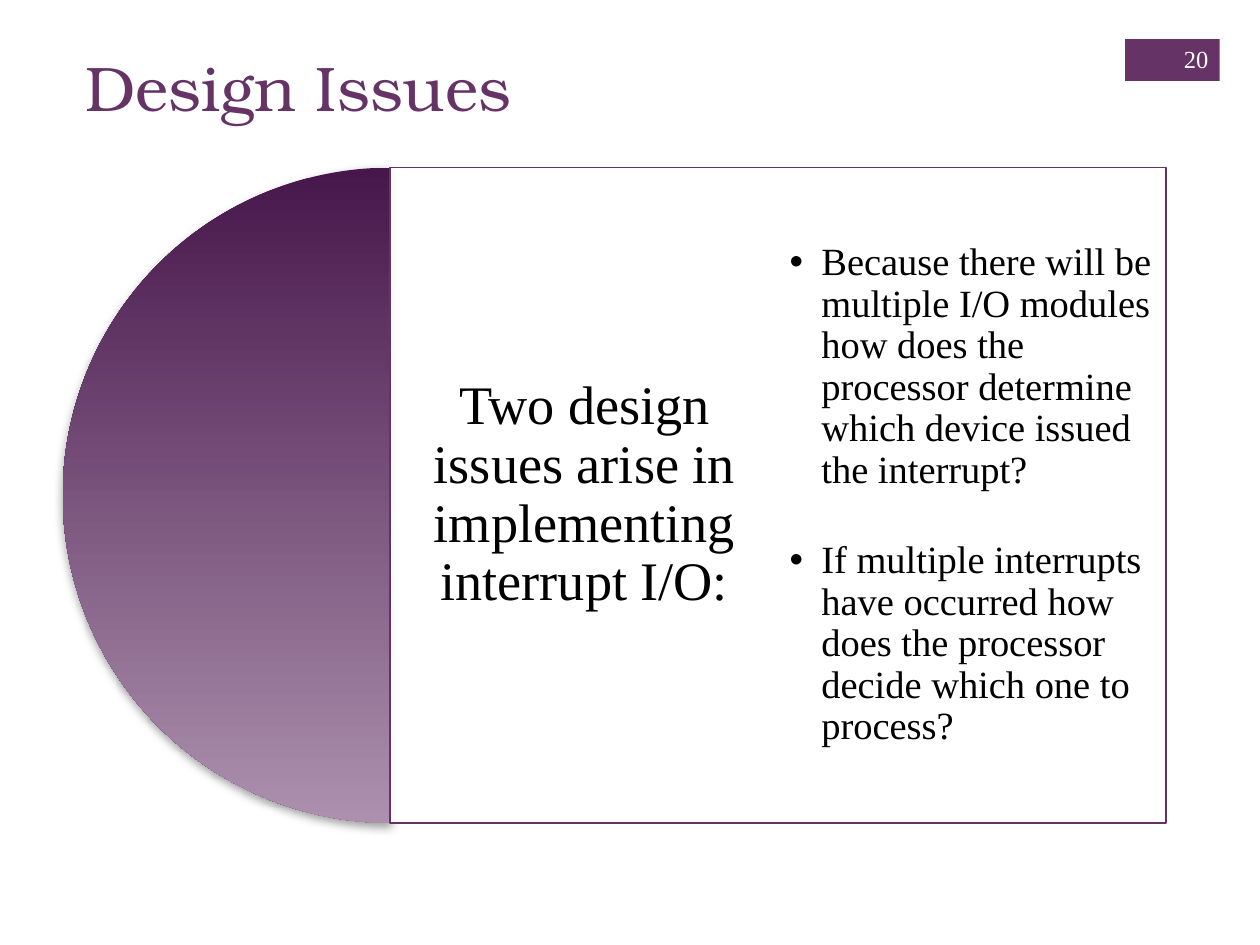
from lxml import etree
from pptx import Presentation
from pptx.dml.color import RGBColor
from pptx.enum import shapes, text
from pptx.oxml import parse_xml
from pptx.oxml.ns import nsdecls, qn
from pptx.util import Cm, Pt

PLUM = RGBColor(0x66, 0x33, 0x66)
OUTLINE = RGBColor(0x64, 0x33, 0x66)
DARK_PLUM = RGBColor(0x47, 0x17, 0x4B)
LIGHT_PLUM = RGBColor(0xAC, 0x90, 0xAE)
BLACK = RGBColor(0, 0, 0)
WHITE = RGBColor(0xFF, 0xFF, 0xFF)
BODY_FONT = "Times New Roman"
TITLE_FONT = "TeX Gyre Bonum"

PANEL_TOP = Cm(3.38)
PANEL_HEIGHT = Cm(13.21)
PANEL_LEFT = Cm(7.87)
COLUMN_WIDTH = Cm(7.82)
QUESTIONS = [
    "Because there will be multiple I/O modules how does the processor "
    "determine which device issued the interrupt?",
    "If multiple interrupts have occurred how does the processor decide "
    "which one to process?",
]


def add_run(paragraph, wording, size, color, font=BODY_FONT):
    run = paragraph.add_run()
    run.text = wording
    run.font.name = font
    run.font.size = Pt(size)
    run.font.color.rgb = color


def format_frame(frame, anchor, side, vertical):
    frame.word_wrap = True
    frame.auto_size = text.MSO_AUTO_SIZE.NONE
    frame.vertical_anchor = anchor
    frame.margin_left = frame.margin_right = side
    frame.margin_top = frame.margin_bottom = vertical


def add_text_box(slide, left, top, width, height, side, vertical):
    frame = slide.shapes.add_textbox(left, top, width, height).text_frame
    format_frame(frame, text.MSO_ANCHOR.MIDDLE, side, vertical)
    return frame


def add_bullet(paragraph):
    properties = paragraph._p.get_or_add_pPr()
    properties.set("marL", str(Cm(0.64)))
    properties.set("indent", str(-Cm(0.64)))
    color = etree.SubElement(properties, qn("a:buClr"))
    etree.SubElement(color, qn("a:srgbClr"), val=str(BLACK))
    etree.SubElement(properties, qn("a:buFont"), typeface="Arial")
    etree.SubElement(properties, qn("a:buChar"), char="•")


def add_title(slide):
    title = slide.shapes.title
    title.left, title.top = Cm(1.47), Cm(0.84)
    title.width, title.height = Cm(20.98), Cm(3.1)
    format_frame(title.text_frame, text.MSO_ANCHOR.TOP, Cm(0.25), Cm(0.13))
    paragraph = title.text_frame.paragraphs[0]
    paragraph.alignment = text.PP_ALIGN.LEFT
    add_run(paragraph, "Design Issues", 36, PLUM, TITLE_FONT)


def add_page_number(slide):
    badge = slide.shapes.add_shape(
        shapes.MSO_SHAPE.RECTANGLE, Cm(22.68), Cm(0.79), Cm(1.91), Cm(0.84))
    badge.shadow.inherit = False
    badge.fill.solid()
    badge.fill.fore_color.rgb = PLUM
    badge.line.fill.background()
    frame = add_text_box(
        slide, Cm(23.06), Cm(0.68), Cm(1.55), Cm(1.02), Cm(0.25), Cm(0.13))
    paragraph = frame.paragraphs[0]
    paragraph.alignment = text.PP_ALIGN.RIGHT
    add_run(paragraph, "20", 14, WHITE)


def add_half_disc(slide):
    disc = slide.shapes.add_shape(
        shapes.MSO_SHAPE.PIE, PANEL_LEFT - PANEL_HEIGHT // 2, PANEL_TOP,
        PANEL_HEIGHT, PANEL_HEIGHT)
    disc.adjustments[0] = 54
    disc.adjustments[1] = 162
    disc.line.fill.background()
    disc.fill.gradient()
    disc.fill.gradient_angle = 270
    for stop, position, color in zip(
            disc.fill.gradient_stops, (0, 1), (DARK_PLUM, LIGHT_PLUM)):
        stop.position = position
        stop.color.rgb = color
    disc._element.spPr.append(parse_xml(
        f'<a:effectLst {nsdecls("a")}>'
        f'<a:outerShdw blurRad="{Pt(5)}" dist="{Pt(2)}" dir="5400000" '
        'rotWithShape="0"><a:srgbClr val="808080"><a:alpha val="75000"/>'
        '</a:srgbClr></a:outerShdw></a:effectLst>'))


def add_panel(slide):
    panel = slide.shapes.add_shape(
        shapes.MSO_SHAPE.RECTANGLE, PANEL_LEFT, PANEL_TOP,
        2 * COLUMN_WIDTH, PANEL_HEIGHT)
    panel.shadow.inherit = False
    panel.fill.solid()
    panel.fill.fore_color.rgb = WHITE
    color = panel._element.spPr.find(qn("a:solidFill"))[0]
    etree.SubElement(color, qn("a:alpha"), val="90000")
    panel.line.color.rgb = OUTLINE
    panel.line.width = Pt(1)


def add_column(slide, index, inset):
    return add_text_box(
        slide, PANEL_LEFT + index * COLUMN_WIDTH, PANEL_TOP,
        COLUMN_WIDTH, PANEL_HEIGHT, inset, inset)


def add_statement(slide):
    paragraph = add_column(slide, 0, Cm(0.33)).paragraphs[0]
    paragraph.alignment = text.PP_ALIGN.CENTER
    paragraph.line_spacing = 0.9
    add_run(paragraph,
            "Two design issues arise in implementing interrupt I/O:", 31, BLACK)


def add_questions(slide):
    frame = add_column(slide, 1, Cm(0.23))
    for index, question in enumerate(QUESTIONS):
        paragraph = frame.add_paragraph() if index else frame.paragraphs[0]
        add_bullet(paragraph)
        paragraph.level = 1
        paragraph.alignment = text.PP_ALIGN.LEFT
        paragraph.line_spacing = 0.9
        paragraph.space_before = Pt(27.6 if index else 0)
        add_run(paragraph, question, 22, BLACK)


def main():
    presentation = Presentation()
    presentation.slide_width, presentation.slide_height = Cm(25.4), Cm(19.05)
    slide = presentation.slides.add_slide(presentation.slide_layouts[5])
    add_title(slide)
    add_page_number(slide)
    add_half_disc(slide)
    add_panel(slide)
    add_statement(slide)
    add_questions(slide)
    presentation.save("out.pptx")


if __name__ == "__main__":
    main()
